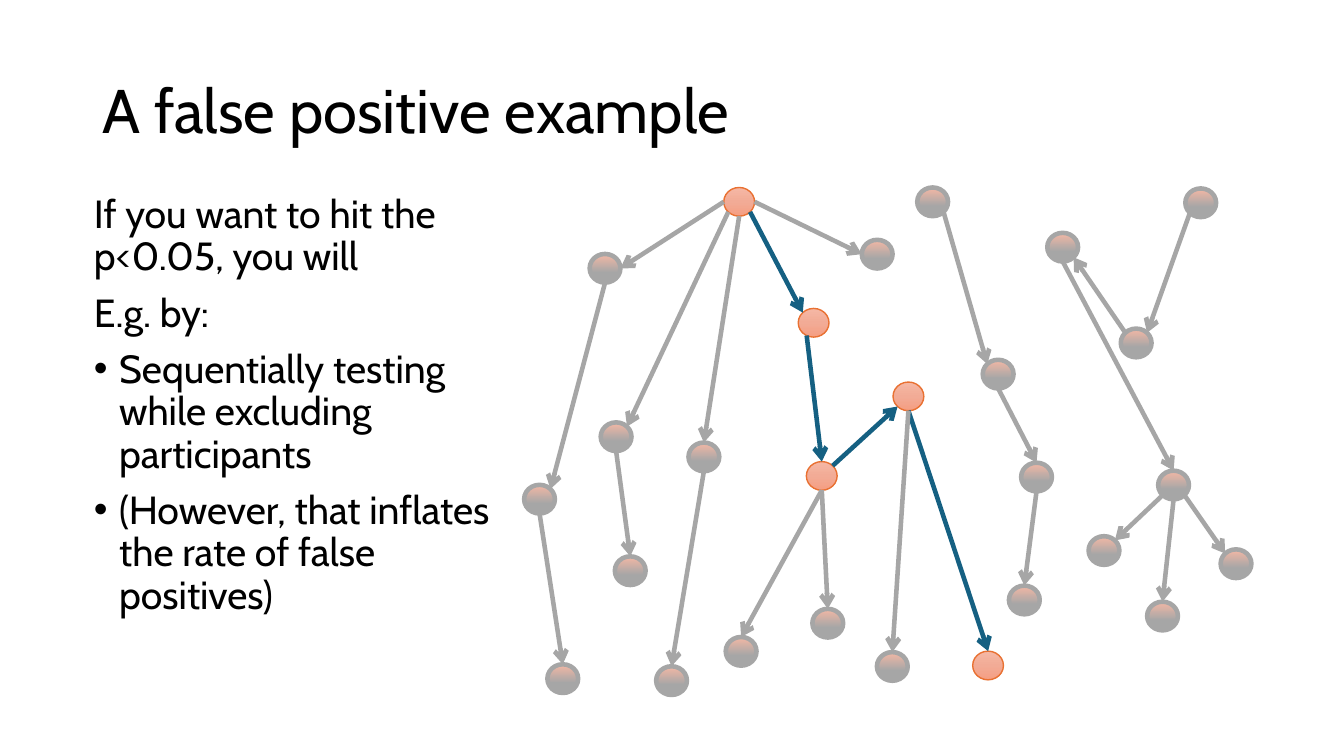
from copy import deepcopy
from dataclasses import dataclass
from math import cos, radians, sin

from lxml.etree import SubElement
from pptx import Presentation
from pptx.dml.color import RGBColor as Color
from pptx.enum.shapes import MSO_CONNECTOR as Connector, MSO_SHAPE as Shape
from pptx.enum.text import MSO_ANCHOR as Anchor
from pptx.oxml.ns import qn
from pptx.util import Pt


@dataclass(frozen=True)
class Theme:
    font: str = "Cabin"
    title_size: int = 44
    body_size: int = 28
    text: str = "000000"
    path_line: str = "156082"
    path_outline: str = "E97132"
    path_stops: tuple = ((0, "F5B8A5"), (0.5, "F2AB96"), (1, "F59E82"))
    other_line: str = "A6A6A6"
    other_stops: tuple = ((0, "F5B8A5"), (0.65, "A6A6A6"), (1, "A6A6A6"))
    thin: float = 1
    thick: float = 3.25


THEME = Theme()
TITLE_BOX = (66, 29, 828, 104.4)
BODY_BOX = (60, 135.4, 322, 353.5)
GRAPH_BOX = (374.4, 133.9, 520, 363)
NODE_WIDTH, NODE_HEIGHT = 22, 20.5
INDENT = 18

TITLE = "A false positive example"
BODY = [  # text, bulleted
    ("If you want to hit the p<0.05, you will", False),
    ("E.g. by:", False),
    ("Sequentially testing while excluding participants", True),
    ("(However, that inflates the rate of false positives)", True),
]

# Top left corner of each node within the graph box
PATH_NODES = {
    "root": (142.6, 0), "step 1": (195.8, 86.4), "step 2": (201.6, 195.8),
    "step 3": (263.5, 139), "goal": (320.4, 331.2),
}
OTHER_NODES = {
    "a1": (46.8, 47.5), "a2": (0, 212.4), "a3": (16.6, 340.6),
    "b1": (54.7, 167.8), "b2": (64.8, 263.5),
    "c1": (117.4, 182.2), "c2": (94.3, 342), "d1": (241.2, 37.4),
    "e1": (144, 321.1), "e2": (205.9, 301), "f1": (252, 331.9),
    "g1": (280.8, 0), "g2": (327.6, 123.1), "g3": (355, 196.6), "g4": (346.3, 284.4),
    "h1": (472.3, 0.7), "h2": (426.2, 100.8), "h3": (373.7, 32.4),
    "h4": (452.9, 202.3), "h5": (403.2, 249.1), "h6": (445, 295.9), "h7": (497.5, 258.5),
}

# Start node, side it leaves from, end node, side it arrives at
PATH_EDGES = [
    ("root", "SE", "step 1", "NW"), ("step 1", "SSW", "step 2", "N"),
    ("step 2", "NE", "step 3", "SW"), ("step 3", "S", "goal", "N"),
]
OTHER_EDGES = [
    ("root", "W", "a1", "E"), ("a1", "S", "a2", "NE"), ("a2", "S", "a3", "N"),
    ("root", "SW", "b1", "NE"), ("b1", "S", "b2", "N"),
    ("root", "S", "c1", "N"), ("c1", "S", "c2", "N"), ("root", "E", "d1", "W"),
    ("step 2", "S", "e1", "N"), ("step 2", "S", "e2", "N"), ("step 3", "S", "f1", "N"),
    ("g1", "SE", "g2", "NW"), ("g2", "S", "g3", "N"), ("g3", "S", "g4", "N"),
    ("h1", "SW", "h2", "NE"), ("h2", "NW", "h3", "SE"), ("h3", "S", "h4", "N"),
    ("h4", "SW", "h5", "NE"), ("h4", "S", "h6", "N"), ("h4", "SE", "h7", "NW"),
]
ANGLES = {"E": 0, "SE": 45, "S": 90, "SSW": 117, "SW": 135,
          "W": 180, "NW": 225, "N": 270, "NE": 315}


def add_text_frame(page, box):
    frame = page.shapes.add_textbox(*map(Pt, box)).text_frame
    frame.word_wrap = True
    return frame


def style_paragraph(para, size):
    para.line_spacing = 0.9
    para.font.name = THEME.font
    para.font.size = Pt(size)
    para.font.color.rgb = Color.from_string(THEME.text)


def add_bullet(para):
    properties = para._p.get_or_add_pPr()
    properties.set("marL", str(Pt(INDENT)))
    properties.set("indent", str(-Pt(INDENT)))
    SubElement(properties, qn("a:buFont"), typeface="Arial")
    SubElement(properties, qn("a:buChar"), char="•")


def add_title(page, box):
    frame = add_text_frame(page, box)
    frame.vertical_anchor = Anchor.MIDDLE
    frame.text = TITLE
    style_paragraph(frame.paragraphs[0], THEME.title_size)


def add_body(page, box):
    frame = add_text_frame(page, box)
    frame.text = "\n".join(text for text, _ in BODY)
    for index, (para, (_, bulleted)) in enumerate(zip(frame.paragraphs, BODY)):
        if bulleted:
            add_bullet(para)
        style_paragraph(para, THEME.body_size)
        if index:
            para.space_before = Pt(10)


def fill_gradient(shape, stops):
    """Fill from top to bottom with three (position, colour) stops."""
    shape.fill.gradient()
    shape.fill.gradient_angle = 270
    stop_list = shape._element.spPr.find(qn("a:gradFill")).find(qn("a:gsLst"))
    stop_list.append(deepcopy(stop_list[-1]))
    for stop, (position, color) in zip(shape.fill.gradient_stops, stops):
        stop.position = position
        stop.color.rgb = Color.from_string(color)


def set_line(shape, color, width):
    shape.line.color.rgb = Color.from_string(color)
    shape.line.width = Pt(width)


def add_node(graph, corner, stops, outline, width):
    node = graph.shapes.add_shape(
        Shape.OVAL, *map(Pt, (*corner, NODE_WIDTH, NODE_HEIGHT)))
    node.shadow.inherit = False
    fill_gradient(node, stops)
    set_line(node, outline, width)


def rim_point(corner, side):
    """Point on a node's rim in the given compass direction."""
    angle = radians(ANGLES[side])
    return (Pt(corner[0] + NODE_WIDTH / 2 * (1 + cos(angle))),
            Pt(corner[1] + NODE_HEIGHT / 2 * (1 + sin(angle))))


def add_arrow(graph, start, end, color):
    arrow = graph.shapes.add_connector(Connector.STRAIGHT, *start, *end)
    set_line(arrow, color, THEME.thick)
    SubElement(arrow.line._get_or_add_ln(), qn("a:tailEnd"), type="arrow")
    SubElement(arrow._element.spPr, qn("a:effectLst"))


def add_graph(page, box):
    left, top = box[:2]
    graph = page.shapes.add_group_shape()
    corners = {name: (left + x, top + y)
               for name, (x, y) in (PATH_NODES | OTHER_NODES).items()}
    for name in OTHER_NODES:
        add_node(graph, corners[name], THEME.other_stops, THEME.other_line, THEME.thick)
    for name in PATH_NODES:
        add_node(graph, corners[name], THEME.path_stops, THEME.path_outline, THEME.thin)
    for edges, color in ((PATH_EDGES, THEME.path_line), (OTHER_EDGES, THEME.other_line)):
        for start, leaving, end, arriving in edges:
            add_arrow(graph, rim_point(corners[start], leaving),
                      rim_point(corners[end], arriving), color)


def main():
    deck = Presentation()
    deck.slide_width, deck.slide_height = Pt(960), Pt(540)
    page = deck.slides.add_slide(deck.slide_layouts[6])
    add_title(page, TITLE_BOX)
    add_body(page, BODY_BOX)
    add_graph(page, GRAPH_BOX)
    deck.save("out.pptx")


if __name__ == "__main__":
    main()
